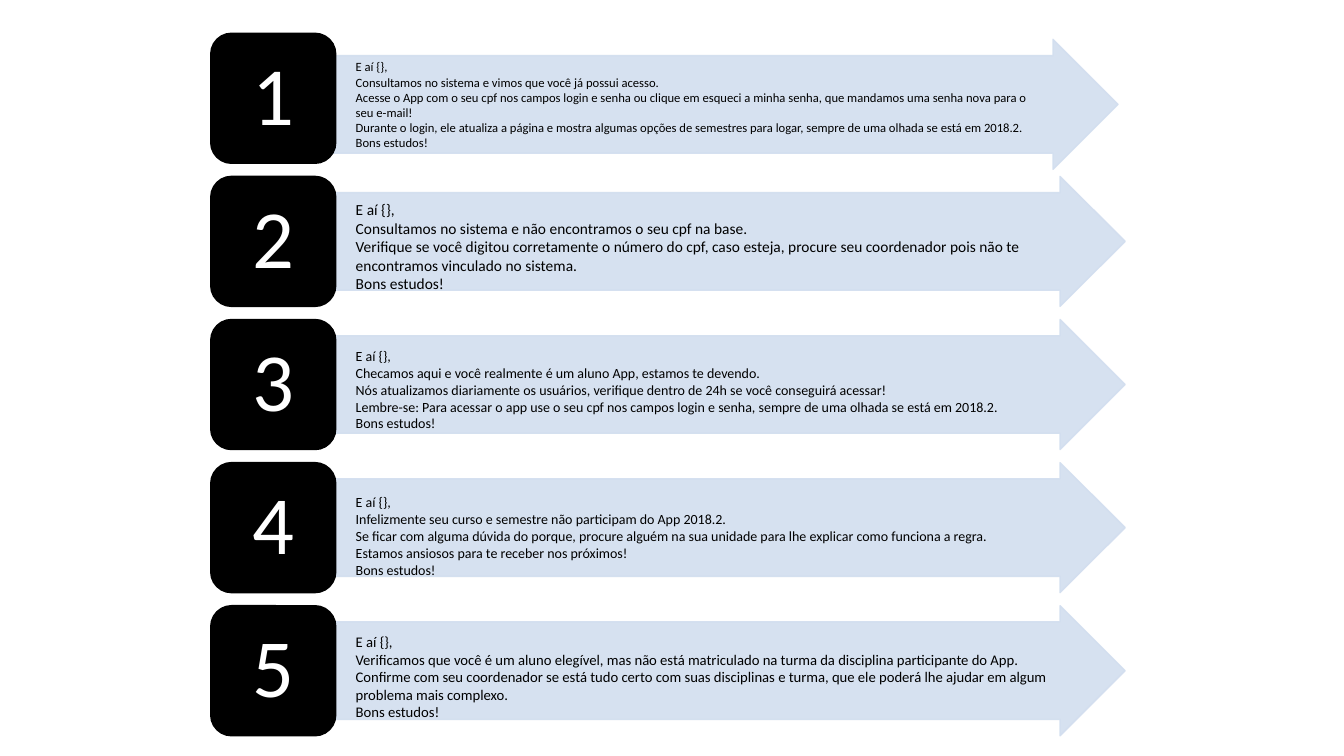
from lxml.etree import SubElement
from pptx import Presentation
from pptx.dml.color import RGBColor
from pptx.enum.shapes import MSO_SHAPE
from pptx.enum.text import MSO_ANCHOR, MSO_AUTO_SIZE, PP_ALIGN
from pptx.oxml.ns import qn
from pptx.util import Inches, Pt

GREETING = "E aí {},"
FAREWELL = "Bons estudos!"
ARROW_COLOR = "D2DEEF"
BADGE_COLOR = "000000"

presentation = Presentation()
presentation.slide_width = Inches(13.33)
presentation.slide_height = Inches(7.5)
slide = presentation.slides.add_slide(presentation.slide_layouts[6])

# The slide is a grid of 100 columns by 100 rows.
COLUMN = presentation.slide_width / 100
ROW = presentation.slide_height / 100
FIRST_TOP = 4.4 * ROW
PITCH = 18.93 * ROW
BADGE_LEFT, BADGE_WIDTH = 15.68 * COLUMN, 9.3 * COLUMN
ARROW_LEFT, ARROW_WIDTH = BADGE_LEFT + BADGE_WIDTH, 58.74 * COLUMN
STEP_HEIGHT = 17.2 * ROW
MESSAGE_LEFT = 25.73 * COLUMN


def add_step_shape(kind, left, top, width, color, opacity=100):
    """Add a one-color preset shape as tall as a step."""
    shape = slide.shapes.add_shape(kind, int(left), int(top), int(width), int(STEP_HEIGHT))
    shape.shadow.inherit = False
    shape.line.width = Pt(1)
    for fill in (shape.fill, shape.line.fill):
        fill.solid()
        fill.fore_color.rgb = RGBColor.from_string(color)
    if opacity < 100:
        for color_element in shape.element.spPr.iter(qn("a:srgbClr")):
            SubElement(color_element, qn("a:alpha"), val=str(opacity * 1000))
    return shape


def write_text(frame, lines, size, color="000000", align=PP_ALIGN.LEFT, spacing=1.0):
    """Write one paragraph for each line, all in the same format."""
    frame.word_wrap = True
    for index, line in enumerate(lines):
        paragraph = frame.paragraphs[0] if index == 0 else frame.add_paragraph()
        paragraph.alignment = align
        paragraph.line_spacing = spacing
        run = paragraph.add_run()
        run.text = line
        run.font.name = "Calibri"
        run.font.size = Pt(size)
        run.font.color.rgb = RGBColor.from_string(color)


# Font size, rows below the step top, columns wide, rows high, lines
messages = [
    (9, 2.8, 52.66, 13.47, [
        "Consultamos no sistema e vimos que você já possui acesso.",
        "Acesse o App com o seu cpf nos campos login e senha ou clique em esqueci a minha "
        "senha, que mandamos uma senha nova para o seu e-mail!",
        "Durante o login, ele atualiza a página e mostra algumas opções de semestres para "
        "logar, sempre de uma olhada se está em 2018.2.",
    ]),
    (11, 2.53, 50.94, 13.73, [
        "Consultamos no sistema e não encontramos o seu cpf na base.",
        "Verifique se você digitou corretamente o número do cpf, caso esteja, procure seu "
        "coordenador pois não te encontramos vinculado no sistema.",
    ]),
    (10, 3.07, 50.94, 12.53, [
        "Checamos aqui e você realmente é um aluno App, estamos te devendo.",
        "Nós atualizamos diariamente os usuários, verifique dentro de 24h se você "
        "conseguirá acessar!",
        "Lembre-se: Para acessar o app use o seu cpf nos campos login e senha, sempre de "
        "uma olhada se está em 2018.2.",
    ]),
    (10, 3.47, 50.94, 12.53, [
        "Infelizmente seu curso e semestre não participam do App 2018.2.",
        "Se ficar com alguma dúvida do porque, procure alguém na sua unidade para lhe "
        "explicar como funciona a regra.",
        "Estamos ansiosos para te receber nos próximos!",
    ]),
    (10.5, 2.93, 54.09, 13.07, [
        "Verificamos que você é um aluno elegível, mas não está matriculado na turma da "
        "disciplina participante do App.",
        "Confirme com seu coordenador se está tudo certo com suas disciplinas e turma, que "
        "ele poderá lhe ajudar em algum problema mais complexo.",
    ]),
]

for index, (size, offset, columns, rows, lines) in enumerate(messages):
    top = FIRST_TOP + index * PITCH

    arrow = add_step_shape(MSO_SHAPE.RIGHT_ARROW, ARROW_LEFT, top, ARROW_WIDTH,
                           ARROW_COLOR, opacity=90)
    arrow.adjustments[0] = 0.75
    arrow.adjustments[1] = 0.5
    if index == 0:  # the first arrow sits slightly left and lower
        arrow.left -= Inches(0.07)
        arrow.top += Inches(0.06)

    badge = add_step_shape(MSO_SHAPE.ROUNDED_RECTANGLE, BADGE_LEFT, top, BADGE_WIDTH,
                           BADGE_COLOR)
    frame = badge.text_frame
    frame.vertical_anchor = MSO_ANCHOR.MIDDLE
    frame.margin_left = frame.margin_right = Inches(0.25)
    frame.margin_top = frame.margin_bottom = Inches(0.12)
    write_text(frame, [str(index + 1)], size=59, color="FFFFFF",
               align=PP_ALIGN.CENTER, spacing=0.9)

    message = slide.shapes.add_textbox(int(MESSAGE_LEFT), int(top + offset * ROW),
                                       int(columns * COLUMN), int(rows * ROW))
    message.text_frame.auto_size = MSO_AUTO_SIZE.SHAPE_TO_FIT_TEXT
    write_text(message.text_frame, [GREETING, *lines, FAREWELL], size=size)

presentation.save("out.pptx")
